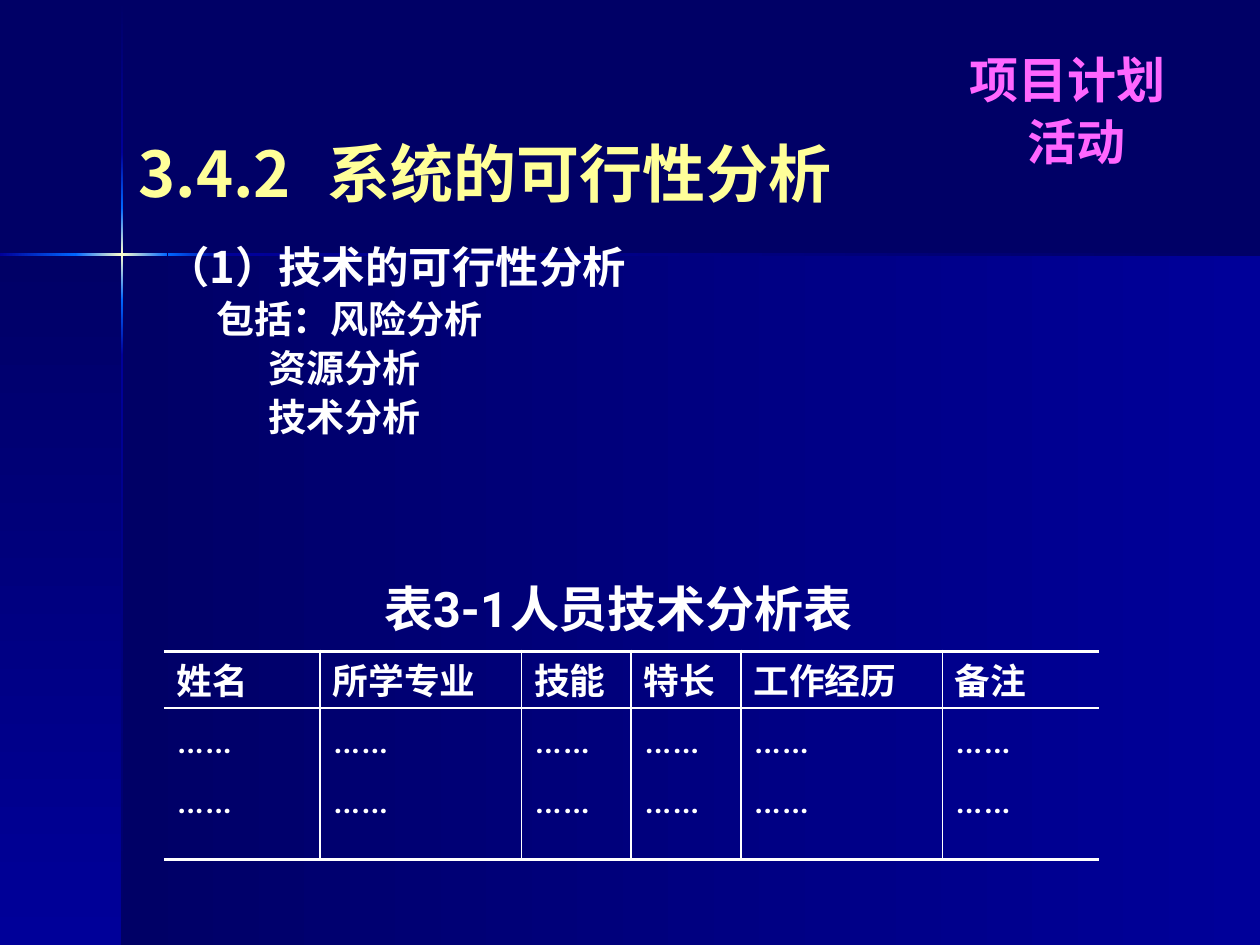
from dataclasses import dataclass
from itertools import pairwise

from lxml import etree
from pptx import Presentation
from pptx.dml.color import RGBColor
from pptx.enum.shapes import MSO_SHAPE
from pptx.enum.text import MSO_ANCHOR
from pptx.oxml.ns import qn
from pptx.util import Inches, Pt

RECTANGLE = MSO_SHAPE.RECTANGLE
TOP, MIDDLE = MSO_ANCHOR.TOP, MSO_ANCHOR.MIDDLE


@dataclass(frozen=True)
class Theme:
    """Colours, fonts and type sizes of the slide."""
    night: str = "000066"
    blue: str = "000099"
    glow: str = "0066FF"
    spark: str = "FFFFCC"
    title: str = "FFFF99"
    label: str = "FF66FF"
    white: str = "FFFFFF"
    latin: str = "Roboto"
    cjk: str = "Noto Sans CJK SC"
    title_font: str = "Noto Sans CJK JP"
    title_size: float = 36
    heading_size: float = 28
    topic_size: float = 24.8
    item_size: float = 21.7
    header_size: float = 20.4
    cell_size: float = 24


THEME = Theme()


def add_gradient_panel(slide, left, top, width, height, colours, angle):
    """Add a borderless rectangle with evenly spaced gradient colours."""
    shape = slide.shapes.add_shape(
        RECTANGLE, Inches(left), Inches(top), Inches(width), Inches(height))
    shape.shadow.inherit = False
    shape.line.fill.background()
    shape.fill.gradient()
    shape.fill.gradient_angle = angle
    stops = next(shape._element.iter(qn("a:gsLst")))
    for stop in list(stops):
        stops.remove(stop)
    for index, colour in enumerate(colours):
        position = 100000 * index // (len(colours) - 1)
        stop = etree.SubElement(stops, qn("a:gs"), pos=str(position))
        etree.SubElement(stop, qn("a:srgbClr"), val=colour)


def add_backdrop(slide, width, height):
    """Fill the slide with panels and two crossing beams of light."""
    fill = slide.background.fill
    fill.solid()
    fill.fore_color.rgb = RGBColor.from_string(THEME.night)
    cross_x, cross_y, thickness = 0.97, 2.02, 0.02
    shade = (THEME.night, THEME.blue)
    add_gradient_panel(slide, cross_x, cross_y, width - cross_x,
                       height - cross_y, shade, 0)
    add_gradient_panel(slide, 0, cross_y, cross_x, height - cross_y, shade, 270)
    beam = [
        shade,
        (THEME.blue, THEME.glow),
        (THEME.glow, THEME.spark, THEME.glow),
        (THEME.glow, THEME.blue),
        (THEME.blue, THEME.night),
    ]
    vertical_cuts = (0, 1.21, 1.65, 2.38, 2.82, height)
    horizontal_cuts = (0, 0.6, 1.33, 1.77, width)
    for (start, end), colours in zip(pairwise(vertical_cuts), beam):
        add_gradient_panel(slide, cross_x - thickness / 2, start, thickness,
                           end - start, colours, 270)
    for (start, end), colours in zip(pairwise(horizontal_cuts), beam[1:]):
        add_gradient_panel(slide, start, cross_y - thickness / 2, end - start,
                           thickness, colours, 0)


def write_paragraph(paragraph, text, size, colour, latin, cjk, bold=True,
                    indent=0, tab=None, before=None, spacing=None):
    """Write one paragraph with its spacing, indent, tab stop and run format."""
    paragraph.text = text
    if before is not None:
        paragraph.space_before = Pt(before)
    if spacing is not None:
        paragraph.line_spacing = spacing
    properties = paragraph._p.get_or_add_pPr()
    properties.set("marL", str(Inches(indent)))
    properties.set("indent", "0")
    if tab is not None:
        tabs = etree.SubElement(properties, qn("a:tabLst"))
        etree.SubElement(tabs, qn("a:tab"), pos=str(Inches(tab)), algn="l")
    for run in paragraph.runs:
        run.font.size = Pt(size)
        run.font.bold = bold
        run.font.color.rgb = RGBColor.from_string(colour)
        run.font.name = latin
        etree.SubElement(run._r.get_or_add_rPr(), qn("a:ea"), typeface=cjk)


def add_text_frame(slide, left, top, width, height, anchor=TOP):
    """Add a wrapping text box and return its text frame."""
    shape = slide.shapes.add_textbox(
        Inches(left), Inches(top), Inches(width), Inches(height))
    shape.text_frame.word_wrap = True
    shape.text_frame.vertical_anchor = anchor
    return shape.text_frame


def add_title(slide, left, top, width, height):
    """Add the section number and title."""
    frame = add_text_frame(slide, left, top, width, height, MIDDLE)
    frame.margin_left = Inches(0.2)
    write_paragraph(frame.paragraphs[0], "3.4.2\t系统的可行性分析",
                    THEME.title_size, THEME.title, THEME.title_font,
                    THEME.title_font, tab=1.56)


def add_outline(slide, left, top, width, height):
    """Add the topic with its indented analysis items."""
    frame = add_text_frame(slide, left, top, width, height)
    write_paragraph(frame.paragraphs[0], "（1）技术的可行性分析",
                    THEME.topic_size, THEME.white, THEME.cjk, THEME.cjk,
                    spacing=0.8)
    items = (("包括：风险分析", 0.4), ("资源分析", 0.81), ("技术分析", 0.81))
    for text, indent in items:
        write_paragraph(frame.add_paragraph(), text, THEME.item_size,
                        THEME.white, THEME.cjk, THEME.cjk, indent=indent,
                        before=7, spacing=0.8)


def add_activity_label(slide, left, top, width, height):
    """Add the two-line activity label in the corner."""
    frame = add_text_frame(slide, left, top, width, height)
    frame.margin_top = Inches(0.11)
    write_paragraph(frame.paragraphs[0], "项目计划", THEME.heading_size,
                    THEME.label, THEME.cjk, THEME.cjk, indent=0.24)
    write_paragraph(frame.add_paragraph(), "活动", THEME.heading_size,
                    THEME.label, THEME.cjk, THEME.cjk, indent=0.7, before=2)


def add_caption(slide, left, top, width, height):
    """Add the caption of the staff table."""
    frame = add_text_frame(slide, left, top, width, height)
    write_paragraph(frame.paragraphs[0], "表3-1\t人员技术分析表",
                    THEME.heading_size, THEME.white, THEME.latin, THEME.cjk,
                    tab=1.36)


def set_borders(cell, widths):
    """Draw the cell borders, leaving out those of zero width."""
    properties = cell._tc.get_or_add_tcPr()
    for side, width in widths.items():
        line = etree.SubElement(properties, qn(f"a:ln{side}"), w=str(Pt(width)))
        if width:
            fill = etree.SubElement(line, qn("a:solidFill"))
            etree.SubElement(fill, qn("a:srgbClr"), val=THEME.white)
        else:
            etree.SubElement(line, qn("a:noFill"))


def add_staff_table(slide, left, top, width, height):
    """Add the staff skills table, open at its left and right."""
    headers = ("姓名", "所学专业", "技能", "特长", "工作经历", "备注")
    column_widths = (1.24, 1.6, 0.87, 0.87, 1.6, 1.24)
    header_height, thick, thin = 0.45, 2.25, 1
    table = slide.shapes.add_table(
        2, len(headers), Inches(left), Inches(top), Inches(width),
        Inches(height)).table
    table.first_row = table.horz_banding = False
    table.rows[0].height = Inches(header_height)
    table.rows[1].height = Inches(height - header_height)
    last = len(headers) - 1
    for index, (header, column_width) in enumerate(zip(headers, column_widths)):
        table.columns[index].width = Inches(column_width)
        head, body = table.cell(0, index), table.cell(1, index)
        sides = {"L": thin if index else 0, "R": thin if index < last else 0}
        set_borders(head, sides | {"T": thick, "B": thin})
        set_borders(body, sides | {"T": thin, "B": thick})
        for cell in (head, body):
            cell.fill.background()
            cell.margin_bottom = Inches(0.02)
        write_paragraph(head.text_frame.paragraphs[0], header,
                        THEME.header_size, THEME.white, THEME.latin, THEME.cjk,
                        spacing=0.9)
        frame = body.text_frame
        for paragraph, before in ((frame.paragraphs[0], None),
                                  (frame.add_paragraph(), 6)):
            write_paragraph(paragraph, "……", THEME.cell_size, THEME.white,
                            THEME.latin, THEME.latin, bold=False, before=before)


def main():
    """Build and save the slide."""
    presentation = Presentation()
    presentation.slide_width, presentation.slide_height = Inches(10), Inches(7.5)
    slide = presentation.slides.add_slide(presentation.slide_layouts[6])
    add_backdrop(slide, 10, 7.5)
    add_title(slide, 0.9, 0.91, 8.25, 0.91)
    add_outline(slide, 1.22, 1.94, 8.2, 2.39)
    add_activity_label(slide, 7.36, 0.28, 2.64, 1.24)
    add_staff_table(slide, 1.3, 5.17, 7.42, 1.65)
    add_caption(slide, 2.95, 4.54, 4.57, 0.57)
    presentation.save("out.pptx")


if __name__ == "__main__":
    main()
